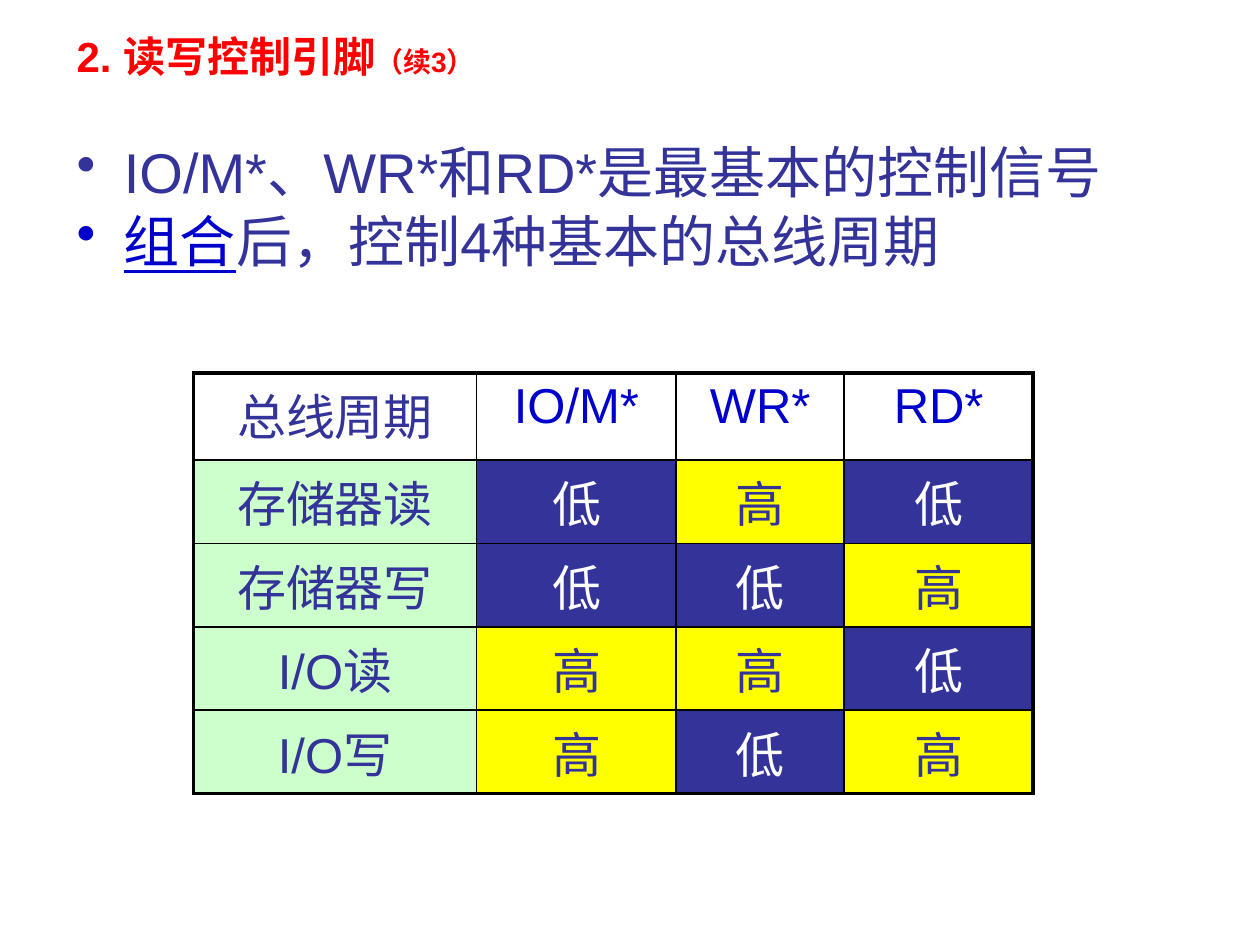
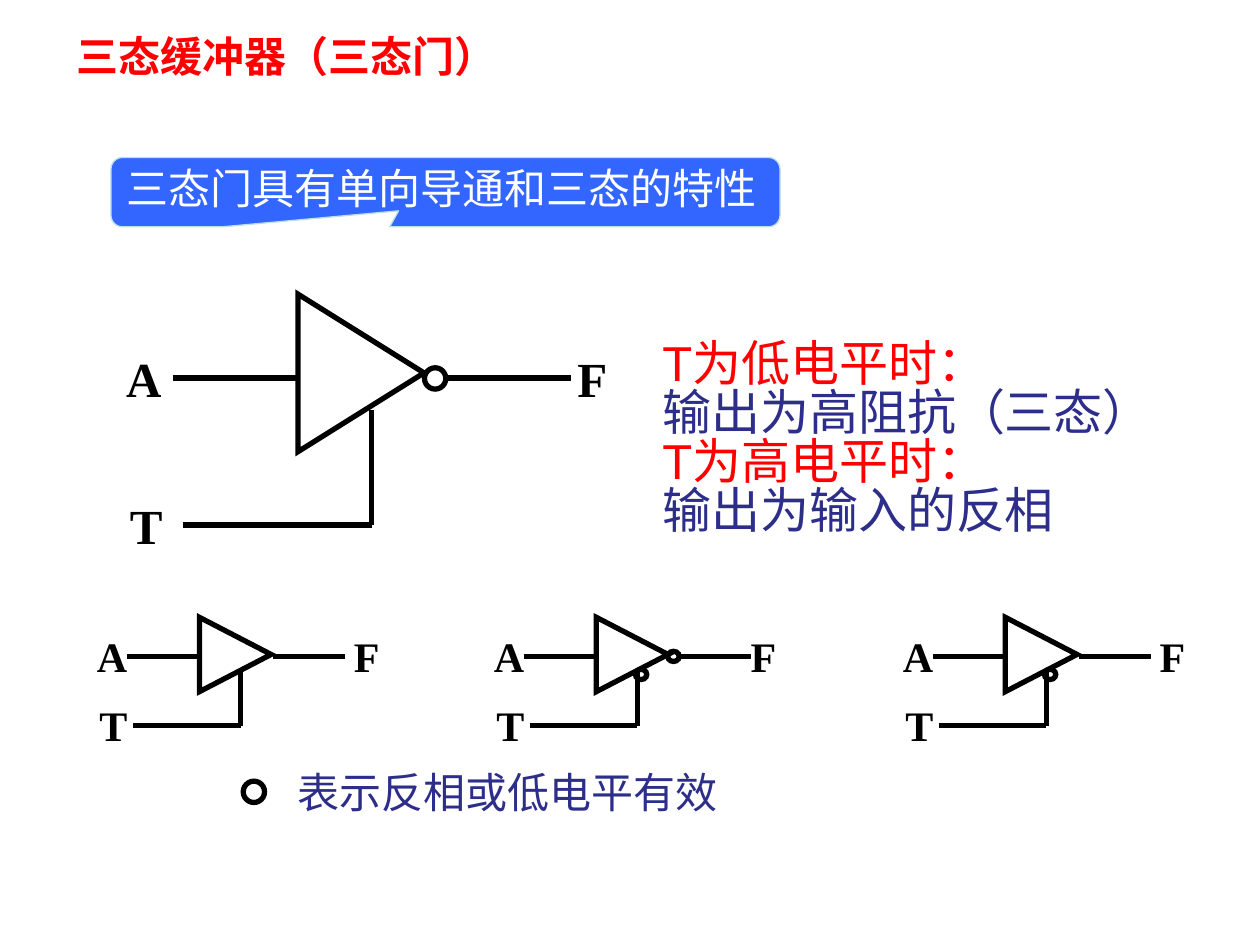
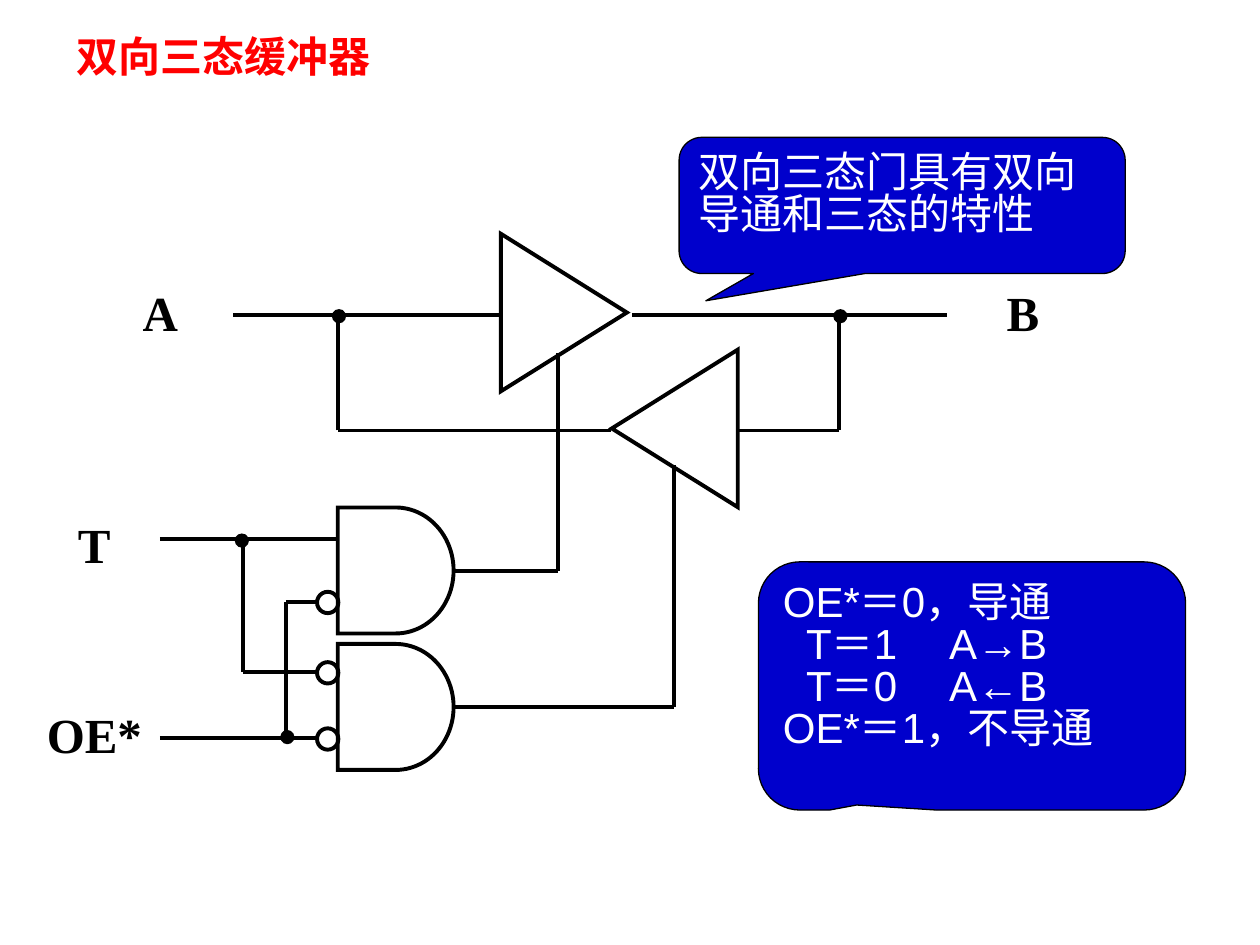
from dataclasses import dataclass, field
from typing import NamedTuple

from lxml import etree
from pptx import Presentation
from pptx.dml.color import RGBColor
from pptx.enum.shapes import MSO_CONNECTOR, MSO_SHAPE
from pptx.enum.text import MSO_ANCHOR, PP_ALIGN
from pptx.oxml.ns import qn
from pptx.util import Pt

STRAIGHT = MSO_CONNECTOR.STRAIGHT
TRIANGLE = MSO_SHAPE.FLOWCHART_EXTRACT
CIRCLE = MSO_SHAPE.FLOWCHART_CONNECTOR
AND_GATE = MSO_SHAPE.FLOWCHART_DELAY
CALLOUT = MSO_SHAPE.ROUNDED_RECTANGULAR_CALLOUT
MIDDLE, TOP = MSO_ANCHOR.MIDDLE, MSO_ANCHOR.TOP
LEFT, CENTER, JUSTIFY = PP_ALIGN.LEFT, PP_ALIGN.CENTER, PP_ALIGN.JUSTIFY


@dataclass(frozen=True)
class Theme:
    red: str = "FF0000"
    indigo: str = "333399"
    navy: str = "2D2D8A"
    blue: str = "0000CC"
    bright: str = "3366FF"
    pale: str = "BBE0E3"
    mint: str = "CCFFCC"
    yellow: str = "FFFF00"
    white: str = "FFFFFF"
    black: str = "000000"
    latin: str = "Arial"
    serif: str = "Times New Roman"
    chinese: str = "Noto Sans CJK SC"
    body: float = 32
    large: float = 28
    medium: float = 24
    small: float = 16
    leading: float = 0.83


THEME = Theme()


# Records for the repeated elements
class Box(NamedTuple):
    x: float
    y: float
    w: float
    h: float


class Span(NamedTuple):
    text: str
    color: str | None = None
    size: float | None = None
    underline: bool = False


class Wire(NamedTuple):
    x1: float
    y1: float
    x2: float
    y2: float


class Outline(NamedTuple):
    kind: MSO_SHAPE
    box: Box
    rotation: float = 0
    solid: bool = False


class Label(NamedTuple):
    text: str
    x: float
    y: float
    w: float


@dataclass(frozen=True)
class Circuit:
    outlines: list[Outline]
    wires: list[Wire]
    labels: list[Label] = field(default_factory=list)
    label_size: float = THEME.large
    weight: float = 3


@dataclass(frozen=True)
class TextStyle:
    size: float
    color: str
    font: str = THEME.latin
    bold: bool = False
    align: PP_ALIGN = LEFT
    tight: bool = False
    bullet: bool = False
    before: float = 0
    tabs: tuple[float, ...] = ()


TITLE = TextStyle(THEME.medium, THEME.red, bold=True)
BULLETS = TextStyle(THEME.body, THEME.indigo, align=JUSTIFY, tight=True, bullet=True, before=7.7)
NOTE = TextStyle(THEME.large, THEME.navy, tight=True)
CALLOUT_TEXT = TextStyle(THEME.medium, THEME.white, tight=True, tabs=(13.3, 95))
LEGEND = TextStyle(THEME.medium, THEME.navy, font=THEME.chinese, align=CENTER)


def rgb(color: str) -> RGBColor:
    return RGBColor.from_string(color)


def lengths(*points: float) -> list[Pt]:
    return [Pt(value) for value in points]


# Text
def write(frame, lines: list[list[Span]], style: TextStyle) -> None:
    if style.tight:
        frame.margin_top = Pt(3.6 + 0.095 * style.size)
    for number, spans in enumerate(lines):
        paragraph = frame.add_paragraph() if number else frame.paragraphs[0]
        paragraph.alignment = style.align
        if style.tight:
            paragraph.line_spacing = style.leading if hasattr(style, "leading") else THEME.leading
        if style.before and number:
            paragraph.space_before = Pt(style.before)
        properties = paragraph._p.get_or_add_pPr()
        if style.bullet:
            properties.set("marL", str(Pt(27)))
            properties.set("indent", str(Pt(-27)))
            etree.SubElement(properties, qn("a:buChar"), char="•")
        if any("\t" in span.text for span in spans):
            stops = etree.SubElement(properties, qn("a:tabLst"))
            for stop in style.tabs:
                etree.SubElement(stops, qn("a:tab"), pos=str(Pt(stop)), algn="l")
        font = paragraph.font
        font.size, font.bold, font.name = Pt(style.size), style.bold, style.font
        font.color.rgb = rgb(style.color)
        etree.SubElement(font._rPr, qn("a:ea"), typeface=THEME.chinese)
        for span in spans:
            run = paragraph.add_run()
            run.text = span.text
            if span.color:
                run.font.color.rgb = rgb(span.color)
            if span.size:
                run.font.size = Pt(span.size)
            if span.underline:
                run.font.underline = True


def add_text(slide, box: Box, lines: list[list[Span]], style: TextStyle,
             anchor: MSO_ANCHOR = MIDDLE, wrap: bool = True) -> None:
    frame = slide.shapes.add_textbox(*lengths(*box)).text_frame
    frame.word_wrap = wrap
    frame.vertical_anchor = anchor
    write(frame, lines, style)


def add_titled_slide(deck, *spans: Span):
    slide = deck.slides.add_slide(deck.slide_layouts[6])
    add_text(slide, Box(36.7, 14.4, 586.8, 35.3), [list(spans)], TITLE)
    return slide


def add_callout(slide, box: Box, tail: tuple[float, float], fill: str, edge: str,
                lines: list[str]) -> None:
    callout = slide.shapes.add_shape(CALLOUT, *lengths(*box))
    callout.shadow.inherit = False
    callout.adjustments[0], callout.adjustments[1] = tail
    callout.fill.solid()
    callout.fill.fore_color.rgb = rgb(fill)
    callout.line.color.rgb = rgb(edge)
    callout.line.width = Pt(0.75)
    callout.text_frame.word_wrap = True
    callout.text_frame.vertical_anchor = TOP
    write(callout.text_frame, [[Span(line)] for line in lines], CALLOUT_TEXT)


# Circuits
def draw_outline(slide, outline: Outline, weight: float, dx: float) -> None:
    box = outline.box
    shape = slide.shapes.add_shape(outline.kind, *lengths(box.x + dx, *box[1:]))
    shape.shadow.inherit = False
    shape.rotation = outline.rotation
    if outline.solid:
        shape.fill.solid()
        shape.fill.fore_color.rgb = rgb(THEME.black)
    else:
        shape.fill.background()
    shape.line.color.rgb = rgb(THEME.black)
    shape.line.width = Pt(weight)
    etree.SubElement(shape.line._get_or_add_ln(), qn("a:miter"), lim="800000")


def draw_wire(slide, wire: Wire, weight: float, dx: float) -> None:
    line = slide.shapes.add_connector(
        STRAIGHT, *lengths(wire.x1 + dx, wire.y1, wire.x2 + dx, wire.y2))
    line.line.color.rgb = rgb(THEME.black)
    line.line.width = Pt(weight)
    etree.SubElement(line._element.spPr, qn("a:effectLst"))


def draw_circuit(slide, circuit: Circuit, dx: float = 0) -> None:
    for outline in circuit.outlines:
        draw_outline(slide, outline, circuit.weight, dx)
    for wire in circuit.wires:
        draw_wire(slide, wire, circuit.weight, dx)
    style = TextStyle(circuit.label_size, THEME.black, THEME.serif, bold=True, align=CENTER)
    for label in circuit.labels:
        box = Box(label.x + dx, label.y, label.w, 1.46 * circuit.label_size)
        add_text(slide, box, [[Span(label.text)]], style, wrap=False)


def bubble(x: float, y: float) -> Outline:
    return Outline(CIRCLE, Box(x, y, 12.2, 12.2))


def small_bubble(x: float, y: float) -> Outline:
    return Outline(CIRCLE, Box(x, y, 6.5, 5.8))


def junction(x: float, y: float) -> Outline:
    return Outline(CIRCLE, Box(x - 2.9, y - 2.2, 5.8, 5.8), solid=True)


def small_buffer(inverted: bool, active_low: bool) -> Circuit:
    """Buffer symbol whose input wire starts at x = 0."""
    outlines = [Outline(TRIANGLE, Box(40.5, 353.5, 42.5, 41), 90)]
    output = 83.5
    if inverted:
        outlines.append(small_bubble(82.1, 372.2))
        output = 88.6
    if active_low:
        outlines.append(small_bubble(63.6, 382.5))
    wires = [Wire(0, 375, 41, 375), Wire(3.5, 414.7, 64.8, 414.7),
             Wire(64.8, 414.7, 64.8, 383.8), Wire(output, 375, output + 41, 375)]
    labels = [Label("T", -23, 396.7, 30.2), Label("A", -24.5, 357.1, 31.7),
              Label("F", 122.4, 357.1, 28.8)]
    return Circuit(outlines, wires, labels, THEME.medium)


INVERTER = Circuit(
    [Outline(TRIANGLE, Box(161.3, 177.1, 90, 72), 90), bubble(242.6, 210.2)],
    [Wire(98.6, 216, 170.6, 216), Wire(104.4, 300, 212.4, 300),
     Wire(212.4, 300, 212.4, 234), Wire(254.2, 216, 326.2, 216)],
    [Label("T", 67, 279.4, 33), Label("A", 64.8, 195.8, 34.6), Label("F", 322.6, 195.8, 31.7)])

TRANSCEIVER = Circuit(
    [Outline(TRIANGLE, Box(277.2, 142.6, 90, 72), 90),
     Outline(TRIANGLE, Box(340.6, 208.8, 90, 72), 270)]
    + [Outline(AND_GATE, Box(193, y, 66.2, 72)) for y in (290, 368)]
    + [bubble(181.2, y) for y in (338.2, 378.4, 416.2)]
    + [junction(*at) for at in ((138.2, 308.2), (480.2, 180), (193.7, 180), (164.2, 420.5))],
    [  # bus A to B and back
        Wire(133.2, 180, 286.6, 180), Wire(361.4, 180, 541.4, 180),
        Wire(349.2, 246, 193, 246), Wire(193, 246, 193, 180),
        Wire(479.5, 246, 479.5, 180), Wire(479.5, 246, 421.9, 246),
        # direction T
        Wire(91.4, 308.2, 193, 308.2), Wire(139, 383.8, 139, 308.2),
        Wire(139, 383.8, 181.4, 383.8),
        # enable OE*
        Wire(91.4, 421.9, 181.4, 421.9), Wire(163.4, 421.9, 163.4, 344.2),
        Wire(163.4, 344.2, 181.4, 344.2),
        # gate outputs
        Wire(259.2, 326.2, 319, 326.2), Wire(319, 326.2, 319, 201.6),
        Wire(259.2, 403.9, 385.2, 403.9), Wire(385.2, 403.9, 385.2, 265.7)],
    [Label("A", 74.2, 157.7, 34.6), Label("B", 568, 157.7, 33),
     Label("T", 37.4, 290.2, 33), Label("OE*", 19.4, 398.9, 69.1)],
    weight=2.25)


# Table of bus cycles
HEADINGS = ["总线周期", "IO/M*", "WR*", "RD*"]
CYCLES = [["存储器读", "低", "高", "低"], ["存储器写", "低", "低", "高"],
          ["I/O读", "高", "高", "低"], ["I/O写", "高", "低", "高"]]
LEVELS = {"低": (THEME.indigo, THEME.white), "高": (THEME.yellow, THEME.indigo)}
COLUMN_WIDTHS = [162, 114, 96, 108]
ROW_HEIGHTS = [49.7] + [47.7] * len(CYCLES)


def cell_colors(text: str, row: int, column: int) -> tuple[str | None, str]:
    if row == 0:
        return None, THEME.blue if column else THEME.indigo
    return LEVELS.get(text, (THEME.mint, THEME.indigo))


def add_borders(cell, outer_sides: dict[str, bool]) -> None:
    properties = cell._tc.get_or_add_tcPr()
    for side, outer in outer_sides.items():
        border = etree.SubElement(properties, qn(f"a:ln{side}"), w=str(Pt(2.25 if outer else 1)))
        paint = etree.SubElement(border, qn("a:solidFill"))
        etree.SubElement(paint, qn("a:srgbClr"), val=THEME.black)


def add_cycle_table(slide) -> None:
    rows = [HEADINGS, *CYCLES]
    table = slide.shapes.add_table(
        len(rows), len(HEADINGS),
        *lengths(110.4, 213.1, sum(COLUMN_WIDTHS), sum(ROW_HEIGHTS))).table
    table.horz_banding = table.first_row = False
    for column, width in zip(table.columns, COLUMN_WIDTHS):
        column.width = Pt(width)
    for r, texts in enumerate(rows):
        table.rows[r].height = Pt(ROW_HEIGHTS[r])
        for c, text in enumerate(texts):
            cell = table.cell(r, c)
            add_borders(cell, {"L": c == 0, "R": c == len(texts) - 1,
                               "T": r == 0, "B": r == len(rows) - 1})
            fill, color = cell_colors(text, r, c)
            if fill:
                cell.fill.solid()
                cell.fill.fore_color.rgb = rgb(fill)
            else:
                cell.fill.background()
            write(cell.text_frame, [[Span(text)]], TextStyle(THEME.large, color, align=CENTER))


# Slides
def build_control_pins(deck) -> None:
    slide = add_titled_slide(deck, Span("2. 读写控制引脚"), Span("（续3）", size=THEME.small))
    add_text(slide, Box(36.7, 78.5, 627.8, 113.8),
             [[Span("IO/M*、WR*和RD*是最基本的控制信号")],
              [Span("组合", THEME.blue, underline=True), Span("后，控制4种基本的总线周期")]],
             BULLETS, TOP)
    add_cycle_table(slide)


def build_tristate_gate(deck) -> None:
    slide = add_titled_slide(deck, Span("三态缓冲器（三态门）"))
    add_text(slide, Box(371.5, 179.3, 316, 141.8),
             [[Span("T为低电平时：", THEME.red)], [Span("输出为高阻抗（三态）")],
              [Span("T为高电平时：", THEME.red)], [Span("输出为输入的反相")]], NOTE)
    draw_circuit(slide, INVERTER)
    draw_circuit(slide, small_buffer(inverted=False, active_low=False), 72.7)
    draw_circuit(slide, small_buffer(inverted=True, active_low=True), 299.5)
    draw_circuit(slide, small_buffer(inverted=False, active_low=True), 533.2)
    draw_outline(slide, bubble(139, 446.4), 3, 0)
    add_text(slide, Box(162, 434.2, 255.6, 36), [[Span("表示反相或低电平有效")]],
             LEGEND, wrap=False)
    add_callout(slide, Box(63.4, 90, 382.3, 39.6), (-0.07, 0.27), THEME.bright, THEME.pale,
                ["三态门具有单向导通和三态的特性"])


def build_bidirectional_buffer(deck) -> None:
    slide = add_titled_slide(deck, Span("双向三态缓冲器"))
    draw_circuit(slide, TRANSCEIVER)
    add_callout(slide, Box(433.4, 321.1, 244.1, 141.8), (-0.27, 0.48), THEME.blue, THEME.black,
                ["OE*＝0，导通", "\tT＝1\tA→B", "\tT＝0\tA←B", "OE*＝1，不导通"])
    add_callout(slide, Box(388.1, 78.5, 254.9, 77.8), (-0.44, 0.7), THEME.blue, THEME.black,
                ["双向三态门具有双向导通和三态的特性"])


def main() -> None:
    deck = Presentation()
    deck.slide_width, deck.slide_height = Pt(720), Pt(540)
    build_control_pins(deck)
    build_tristate_gate(deck)
    build_bidirectional_buffer(deck)
    deck.save("out.pptx")


if __name__ == "__main__":
    main()
